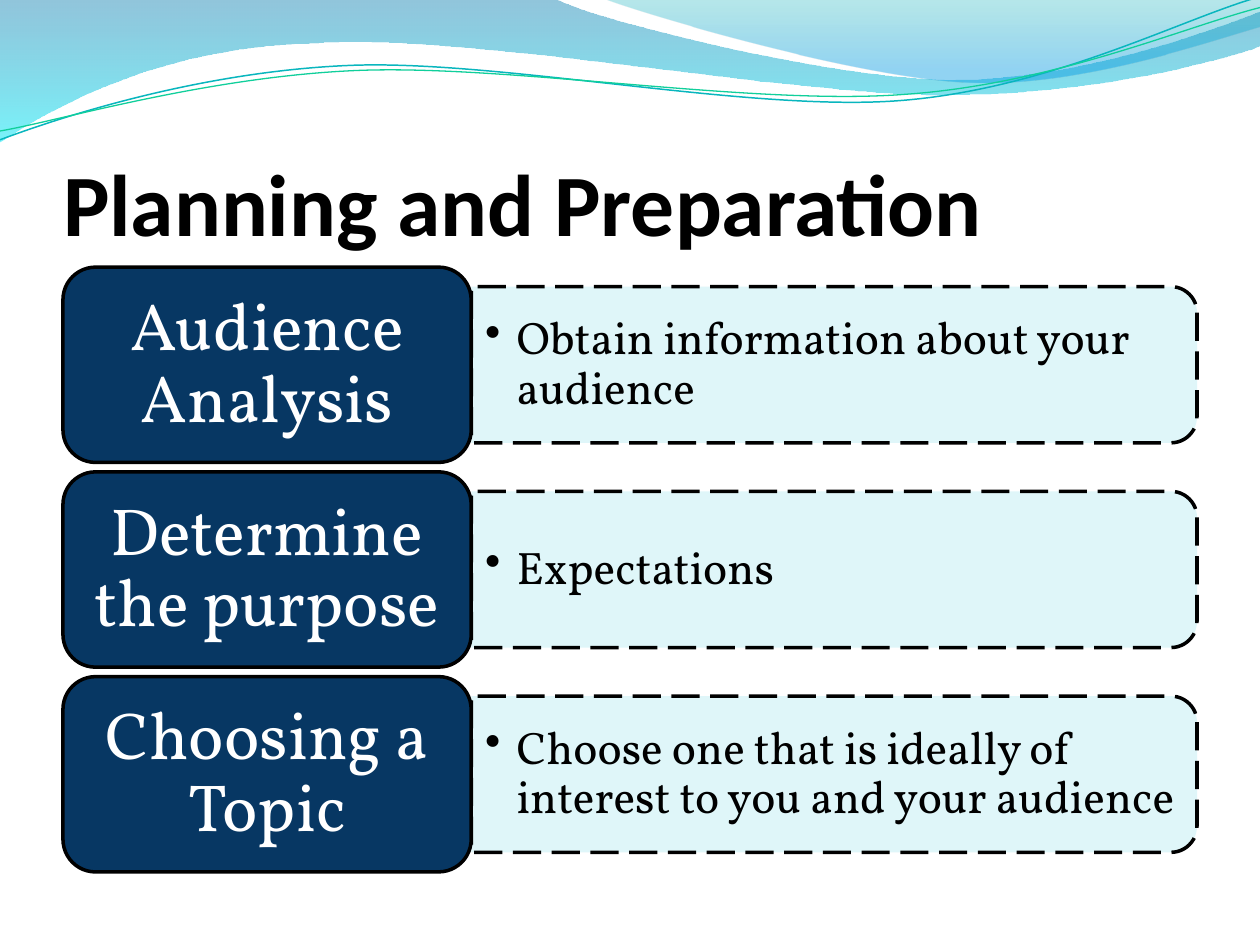
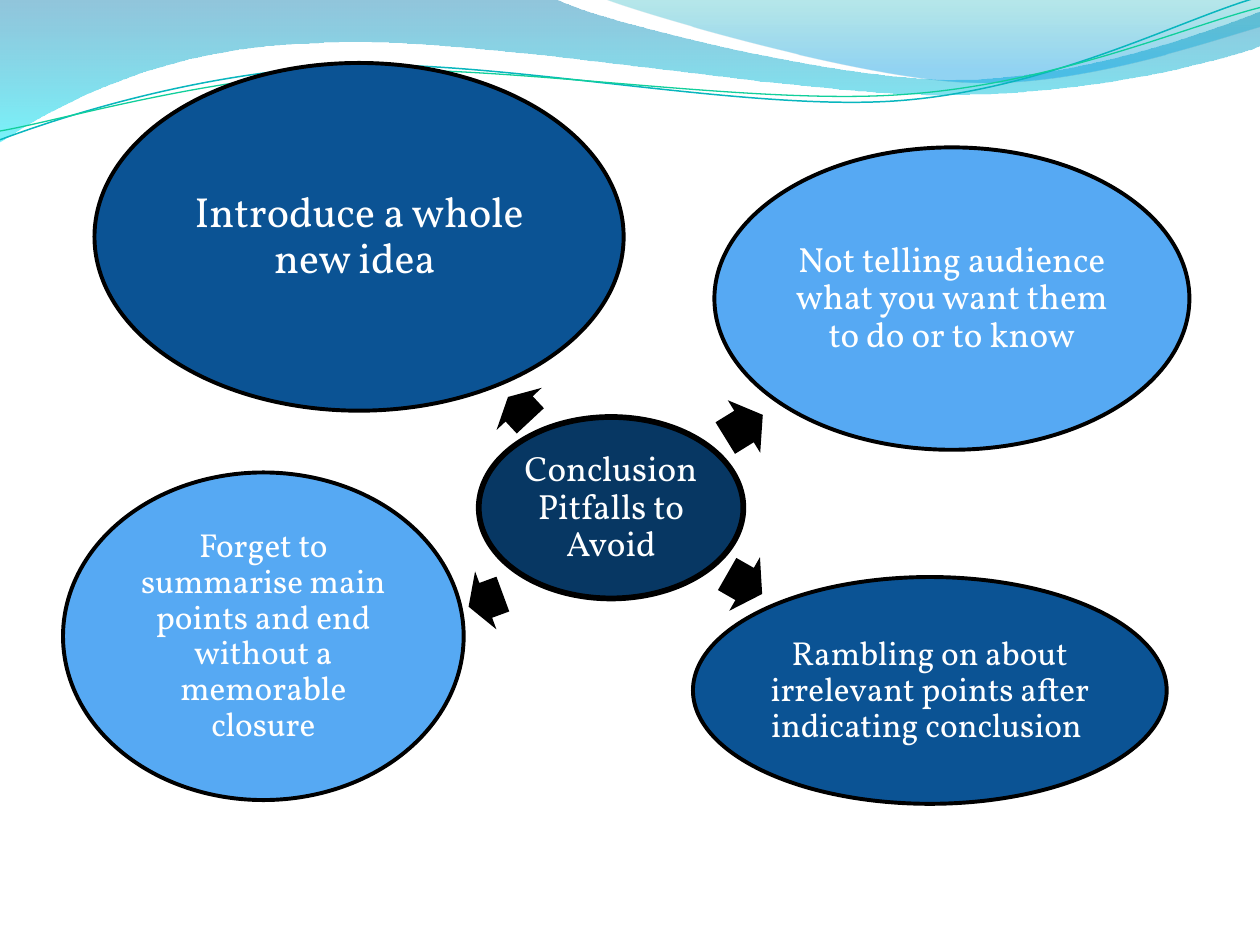
from dataclasses import dataclass

from lxml import etree
from pptx import Presentation
from pptx.dml.color import RGBColor
from pptx.enum.dml import MSO_LINE
from pptx.enum.shapes import MSO_SHAPE
from pptx.enum.text import MSO_ANCHOR, MSO_AUTO_SIZE, PP_ALIGN
from pptx.oxml.ns import qn
from pptx.shapes.autoshape import Shape
from pptx.slide import Slide
from pptx.text.text import TextFrame
from pptx.util import Emu, Pt

PX = 9144
TITLE_ONLY, BLANK = 5, 6
ROUNDED, PANEL = MSO_SHAPE.ROUNDED_RECTANGLE, MSO_SHAPE.ROUND_2_SAME_RECTANGLE
OVAL, ARROW = MSO_SHAPE.OVAL, MSO_SHAPE.RIGHT_ARROW
LONG_DASH = MSO_LINE.LONG_DASH
LEFT, CENTER = PP_ALIGN.LEFT, PP_ALIGN.CENTER
MIDDLE, BOTTOM = MSO_ANCHOR.MIDDLE, MSO_ANCHOR.BOTTOM
NO_AUTOFIT = MSO_AUTO_SIZE.NONE

BLACK = RGBColor(0x00, 0x00, 0x00)
WHITE = RGBColor(0xFF, 0xFF, 0xFF)
NAVY = RGBColor(0x07, 0x37, 0x63)
BLUE = RGBColor(0x0B, 0x53, 0x94)
SKY = RGBColor(0x56, 0xA9, 0xF3)
PALE = RGBColor(0xDB, 0xF5, 0xF9)
OCEAN = RGBColor(0x00, 0x79, 0xAD)
AQUA = RGBColor(0x00, 0xE9, 0xF7)
TEAL = RGBColor(0x00, 0xAB, 0xB4)
AZURE = RGBColor(0x00, 0x99, 0xE4)
TURQUOISE = RGBColor(0x09, 0xB6, 0xBE)
GREEN = RGBColor(0x10, 0xCF, 0x9B)

TITLE_FONT, BODY_FONT = "Calibri", "Vollkorn"

Point = tuple[int, int]
Box = tuple[float, float, float, float]


@dataclass(frozen=True)
class GradientStop:
    position: int
    color: RGBColor
    opacity: int


@dataclass(frozen=True)
class Wave:
    start: Point
    segments: list[list[Point]]
    stops: tuple[GradientStop, ...] = ()
    line_color: RGBColor | None = None
    line_width: float = 0


@dataclass(frozen=True)
class Step:
    heading: str
    detail: str


@dataclass(frozen=True)
class Bubble:
    text: str
    box: Box
    color: RGBColor
    size: int
    line_width: float = 2.25


@dataclass(frozen=True)
class Pitfall:
    bubble: Bubble
    arrow_box: Box
    arrow_angle: float


WAVES = [
    Wave((0, 0), [
        [(440, -1)],
        [(476, 17), (664, 63), (758, 63)],
        [(853, 63), (958, 26), (1000, 9)],
        [(1001, 36)],
        [(983, 44), (870, 76), (746, 75)],
        [(622, 75), (382, 28), (257, 34)],
        [(129, 36), (46, 83), (-1, 113)],
    ], (GradientStop(0, OCEAN, 43), GradientStop(100, AQUA, 53))),
    Wave((479, -1), [
        [(509, 11), (682, 62), (769, 65)],
        [(856, 69), (961, 32), (1000, 21)],
        [(1000, 0)],
    ], (GradientStop(0, TEAL, 28), GradientStop(80, AZURE, 43), GradientStop(100, AZURE, 43))),
    Wave((0, 111), [
        [(48, 93), (158, 57), (277, 52)],
        [(395, 47), (593, 89), (713, 80)],
        [(833, 71), (938, 15), (998, -2)],
    ], line_color=TURQUOISE, line_width=0.85),
    Wave((0, 104), [
        [(47, 96), (164, 61), (283, 56)],
        [(403, 51), (597, 84), (717, 75)],
        [(836, 67), (941, 21), (1000, 6)],
    ], line_color=GREEN, line_width=0.75),
]

STEPS = [
    Step("Audience Analysis", "Obtain information about your audience"),
    Step("Determine the purpose", "Expectations"),
    Step("Choosing a Topic", "Choose one that is ideally of interest to you and your audience"),
]
STEPS_LEFT, FIRST_STEP_TOP, LAST_STEP_TOP = 50, 212, 537
CARD_WIDTH, CARD_HEIGHT = 324, 155
PANEL_WIDTH, PANEL_HEIGHT = 576, 124
DETAIL_WIDTH, DETAIL_HEIGHT = 570, 112

HUB = Bubble("Conclusion Pitfalls to Avoid", (380, 331, 210, 144), NAVY, 20, 3.25)
PITFALLS = [
    Pitfall(Bubble("Introduce a whole new idea ", (75, 50, 420, 276), BLUE, 24),
            (399, 300, 26, 49), 227),
    Pitfall(Bubble("Not telling audience what you want them to do or to know",
                   (567, 117, 377, 240), SKY, 20),
            (573, 314, 35, 49), 328.3),
    Pitfall(Bubble("Rambling on about irrelevant points after indicating conclusion ",
                   (550, 458, 376, 180), BLUE, 19),
            (575, 439, 32, 49), 29.8),
    Pitfall(Bubble("Forget to summarise main points and end without a memorable closure",
                   (50, 375, 318, 260), SKY, 19),
            (371, 452, 29, 49), 159.8),
]


def px(value: float) -> Emu:
    return Emu(round(value * PX))


def add_opacity(color_element: etree._Element, percent: int) -> None:
    etree.SubElement(color_element, qn("a:alpha"), val=str(percent * 1000))


def set_gradient(shape: Shape, stops: tuple[GradientStop, ...]) -> None:
    shape.fill.gradient()
    shape.fill.gradient_angle = 270
    stop_list = shape.element.spPr.find(qn("a:gradFill")).find(qn("a:gsLst"))
    for element in list(stop_list):
        stop_list.remove(element)
    for stop in stops:
        element = etree.SubElement(stop_list, qn("a:gs"), pos=str(stop.position * 1000))
        color = etree.SubElement(element, qn("a:srgbClr"), val=str(stop.color))
        add_opacity(color, stop.opacity)


def bend_segments(shape: Shape, segments: list[list[Point]]) -> None:
    lines = iter(list(shape.element.iter(qn("a:lnTo"))))
    for segment in segments:
        first = next(lines)
        if len(segment) == 3:
            first.tag = qn("a:cubicBezTo")
            for line in (next(lines), next(lines)):
                first.append(line[0])
                line.getparent().remove(line)


def add_wave(slide: Slide, wave: Wave) -> Shape:
    points = [(px(x), px(y)) for segment in wave.segments for x, y in segment]
    builder = slide.shapes.build_freeform(*map(px, wave.start), scale=1.0)
    builder.add_line_segments(points, close=bool(wave.stops))
    shape = builder.convert_to_shape()
    bend_segments(shape, wave.segments)
    shape.shadow.inherit = False
    if wave.stops:
        set_gradient(shape, wave.stops)
        shape.line.fill.background()
    else:
        shape.fill.background()
        shape.line.color.rgb = wave.line_color
        shape.line.width = Pt(wave.line_width)
    return shape


def add_waves_to_master(slide: Slide) -> None:
    master = slide.slide_layout.slide_master
    next_id = max(shape.shape_id for shape in master.shapes) + 1
    for index, wave in enumerate(WAVES):
        element = add_wave(slide, wave).element
        element.nvSpPr.cNvPr.set("id", str(next_id + index))
        master.shapes.element.insert(2 + index, element)


def add_block(slide: Slide, kind: MSO_SHAPE, box: Box, color: RGBColor,
              line_width: float = 0) -> Shape:
    shape = slide.shapes.add_shape(kind, *map(px, box))
    shape.shadow.inherit = False
    shape.fill.solid()
    shape.fill.fore_color.rgb = color
    if line_width:
        shape.line.color.rgb = BLACK
        shape.line.width = Pt(line_width)
    else:
        shape.line.fill.background()
    return shape


def set_text(text_frame: TextFrame, text: str, size: int, color: RGBColor,
             margins: tuple[int, int], align: PP_ALIGN = CENTER) -> None:
    text_frame.text = text
    text_frame.word_wrap = True
    text_frame.vertical_anchor = MIDDLE
    text_frame.margin_left = text_frame.margin_right = px(margins[0])
    text_frame.margin_top = text_frame.margin_bottom = px(margins[1])
    paragraph = text_frame.paragraphs[0]
    paragraph.alignment = align
    paragraph.line_spacing = 0.9
    font = paragraph.runs[0].font
    font.name, font.size, font.color.rgb = BODY_FONT, Pt(size), color


def set_bullet(text_frame: TextFrame) -> None:
    paragraph = text_frame.paragraphs[0]
    paragraph.level = 1
    properties = paragraph._p.get_or_add_pPr()
    properties.set("marL", str(px(25)))
    properties.set("indent", str(px(-25)))
    color = etree.SubElement(properties, qn("a:buClr"))
    etree.SubElement(color, qn("a:srgbClr"), val=str(BLACK))
    etree.SubElement(properties, qn("a:buFontTx"))
    etree.SubElement(properties, qn("a:buChar"), char="•")


def set_title(slide: Slide, text: str) -> None:
    title = slide.shapes.title
    title.left, title.top, title.width, title.height = map(px, (50, 77, 900, 125))
    text_frame = title.text_frame
    text_frame.text = text
    text_frame.auto_size = NO_AUTOFIT
    text_frame.vertical_anchor = BOTTOM
    text_frame.margin_left = text_frame.margin_right = text_frame.margin_bottom = 0
    text_frame.margin_top = px(5)
    paragraph = text_frame.paragraphs[0]
    paragraph.alignment = LEFT
    font = paragraph.runs[0].font
    font.name, font.size, font.bold, font.color.rgb = TITLE_FONT, Pt(50), True, BLACK


def add_step(slide: Slide, step: Step, top: float) -> None:
    panel_left = STEPS_LEFT + CARD_WIDTH
    middle = top + CARD_HEIGHT / 2
    center = panel_left + PANEL_WIDTH / 2
    panel_box = (center - PANEL_HEIGHT / 2, middle - PANEL_WIDTH / 2, PANEL_HEIGHT, PANEL_WIDTH)
    panel = add_block(slide, PANEL, panel_box, PALE, 2)
    panel.rotation = 90
    panel.adjustments[0], panel.adjustments[1] = 0.167, 0
    panel.line.dash_style = LONG_DASH
    add_opacity(panel.element.spPr.find(qn("a:solidFill"))[0], 88)

    detail_box = (panel_left, middle - DETAIL_HEIGHT / 2, DETAIL_WIDTH, DETAIL_HEIGHT)
    detail = slide.shapes.add_textbox(*map(px, detail_box))
    set_text(detail.text_frame, step.detail, 26, BLACK, (11, 5), LEFT)
    set_bullet(detail.text_frame)

    card = add_block(slide, ROUNDED, (STEPS_LEFT, top, CARD_WIDTH, CARD_HEIGHT), NAVY, 2)
    card.adjustments[0] = 0.167
    set_text(card.text_frame, step.heading, 38, WHITE, (16, 8))


def add_bubble(slide: Slide, bubble: Bubble) -> None:
    shape = add_block(slide, OVAL, bubble.box, bubble.color, bubble.line_width)
    set_text(shape.text_frame, bubble.text, bubble.size, WHITE, (3, 3))


def add_pitfall(slide: Slide, pitfall: Pitfall) -> None:
    arrow = add_block(slide, ARROW, pitfall.arrow_box, BLACK)
    arrow.rotation = pitfall.arrow_angle
    arrow.adjustments[0], arrow.adjustments[1] = 0.6, 0.5
    add_bubble(slide, pitfall.bubble)


def main() -> None:
    presentation = Presentation()
    presentation.slide_width, presentation.slide_height = px(1000), px(750)

    planning = presentation.slides.add_slide(presentation.slide_layouts[TITLE_ONLY])
    add_waves_to_master(planning)
    set_title(planning, "Planning and Preparation")
    step_pitch = (LAST_STEP_TOP - FIRST_STEP_TOP) / (len(STEPS) - 1)
    for index, step in enumerate(STEPS):
        add_step(planning, step, FIRST_STEP_TOP + index * step_pitch)

    conclusion = presentation.slides.add_slide(presentation.slide_layouts[BLANK])
    add_bubble(conclusion, HUB)
    for pitfall in PITFALLS:
        add_pitfall(conclusion, pitfall)

    presentation.save("out.pptx")


if __name__ == "__main__":
    main()
